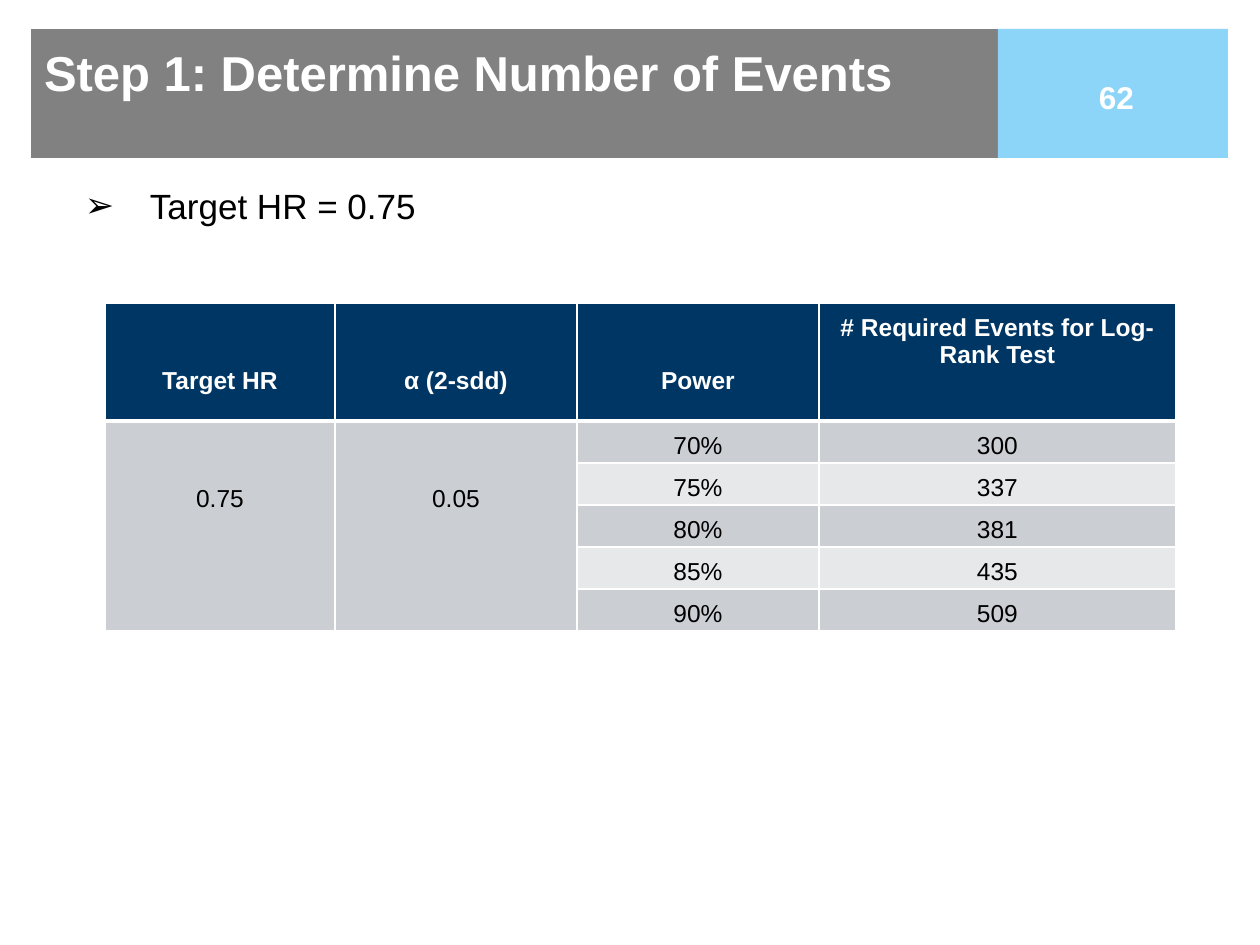
from dataclasses import dataclass

from lxml.etree import SubElement
from pptx import Presentation
from pptx.dml.color import RGBColor
from pptx.enum.shapes import MSO_SHAPE
from pptx.enum.text import MSO_ANCHOR, MSO_AUTO_SIZE, PP_ALIGN
from pptx.oxml.ns import qn
from pptx.util import Emu, Pt

PX_PER_INCH = 126


@dataclass(frozen=True)
class Theme:
    font: str = "Arial"
    white: str = "FFFFFF"
    black: str = "000000"
    title_fill: str = "808180"
    number_fill: str = "8CD5F9"
    header_fill: str = "003663"
    band_dark: str = "CBCED3"
    band_light: str = "E7E8EA"
    title_size: int = 28
    bullet_size: int = 20
    number_size: int = 18
    table_size: int = 14


THEME = Theme()
HEADERS = ["Target HR", "α (2-sdd)", "Power", "# Required Events for Log- Rank Test"]
SHARED = ["0.75", "0.05"]
EVENTS = [("70%", "300"), ("75%", "337"), ("80%", "381"), ("85%", "435"), ("90%", "509")]
COL_WIDTHS = [230, 242, 242, 357]
HEADER_HEIGHT = 118
ROW_HEIGHT = 42
HIGH_INSET = 11
LOW_INSET = 64


def px(n):
    return Emu(round(n * 914400 / PX_PER_INCH))


def rgb(color):
    return RGBColor.from_string(color)


def set_attrs(obj, values):
    for name, value in values.items():
        setattr(obj, name, value)


def place(sp, left, top, width, height):
    set_attrs(sp, {"left": px(left), "top": px(top), "width": px(width), "height": px(height)})


def set_insets(obj, left=0, top=0):
    set_attrs(obj, {"margin_left": px(left), "margin_top": px(top),
                    "margin_right": 0, "margin_bottom": 0})


def write(tf, text, size, color, bold=False, align=PP_ALIGN.LEFT):
    p = tf.paragraphs[0]
    p.alignment = align
    r = p.add_run()
    r.text = text
    set_attrs(r.font, {"name": THEME.font, "size": Pt(size), "bold": bold})
    r.font.color.rgb = rgb(color)
    return p


def format_frame(tf, left, top, anchor):
    set_attrs(tf, {"word_wrap": True, "auto_size": MSO_AUTO_SIZE.NONE, "vertical_anchor": anchor})
    set_insets(tf, left, top)


def fill_solid(obj, color):
    obj.fill.solid()
    obj.fill.fore_color.rgb = rgb(color)


def format_title(s, text):
    sp = s.shapes.title
    place(sp, 31, 29, 967, 129)
    fill_solid(sp, THEME.title_fill)
    format_frame(sp.text_frame, 13, 13, MSO_ANCHOR.TOP)
    write(sp.text_frame, text, THEME.title_size, THEME.white, bold=True)


def add_number_box(s, text):
    sp = s.shapes.add_shape(MSO_SHAPE.RECTANGLE, px(998), px(29), px(230), px(129))
    sp.shadow.inherit = False
    fill_solid(sp, THEME.number_fill)
    sp.line.fill.background()
    format_frame(sp.text_frame, 7, 7, MSO_ANCHOR.MIDDLE)
    write(sp.text_frame, text, THEME.number_size, THEME.white, True, PP_ALIGN.CENTER)


def add_bullet(s, text):
    sp = s.shapes.add_textbox(px(84), px(181), px(336), px(45))
    format_frame(sp.text_frame, 0, 3, MSO_ANCHOR.TOP)
    p = write(sp.text_frame, text, THEME.bullet_size, THEME.black)
    pPr = p._p.get_or_add_pPr()
    pPr.set("marL", str(px(66)))
    pPr.set("indent", str(-px(65)))
    SubElement(pPr, qn("a:buFont"), typeface=THEME.font)
    SubElement(pPr, qn("a:buChar"), char="➢")


def set_borders(cell, widths):
    tcPr = cell._tc.get_or_add_tcPr()
    for side in "LRTB":
        ln = SubElement(tcPr, qn(f"a:ln{side}"), w=str(Pt(widths.get(side, 1))))
        fill = SubElement(ln, qn("a:solidFill"))
        SubElement(fill, qn("a:srgbClr"), val=THEME.white)


def format_cell(cell, row, col):
    set_borders(cell, {0: {"B": 3}, 1: {"T": 3}}.get(row, {}))
    if row == 0:
        color = THEME.header_fill
    elif col < len(SHARED) or row % 2:
        color = THEME.band_dark
    else:
        color = THEME.band_light
    fill_solid(cell, color)
    low = (row == 0 and col < 3) or (row == 1 and col < len(SHARED))
    set_insets(cell, top=LOW_INSET if low else HIGH_INSET)
    cell.vertical_anchor = MSO_ANCHOR.TOP


def add_events_table(s):
    rows = [HEADERS] + [(SHARED if i == 0 else ["", ""]) + list(pair)
                        for i, pair in enumerate(EVENTS)]
    heights = [HEADER_HEIGHT] + [ROW_HEIGHT] * len(EVENTS)
    table = s.shapes.add_table(len(rows), len(COL_WIDTHS), px(105), px(303),
                               px(sum(COL_WIDTHS)), px(sum(heights))).table
    set_attrs(table, {"first_row": False, "horz_banding": False})
    for column, width in zip(table.columns, COL_WIDTHS):
        column.width = px(width)
    for i, (values, height) in enumerate(zip(rows, heights)):
        table.rows[i].height = px(height)
        for j, value in enumerate(values):
            cell = table.cell(i, j)
            format_cell(cell, i, j)
            if value:
                write(cell.text_frame, value, THEME.table_size,
                      THEME.black if i else THEME.white, i == 0, PP_ALIGN.CENTER)
    for j in range(len(SHARED)):
        table.cell(1, j).merge(table.cell(len(EVENTS), j))


def main():
    prs = Presentation()
    set_attrs(prs, {"slide_width": px(1260), "slide_height": px(945)})
    s = prs.slides.add_slide(prs.slide_layouts[5])
    format_title(s, "Step 1: Determine Number of Events")
    add_number_box(s, "62")
    add_bullet(s, "Target HR = 0.75")
    add_events_table(s)
    prs.save("out.pptx")


if __name__ == "__main__":
    main()
